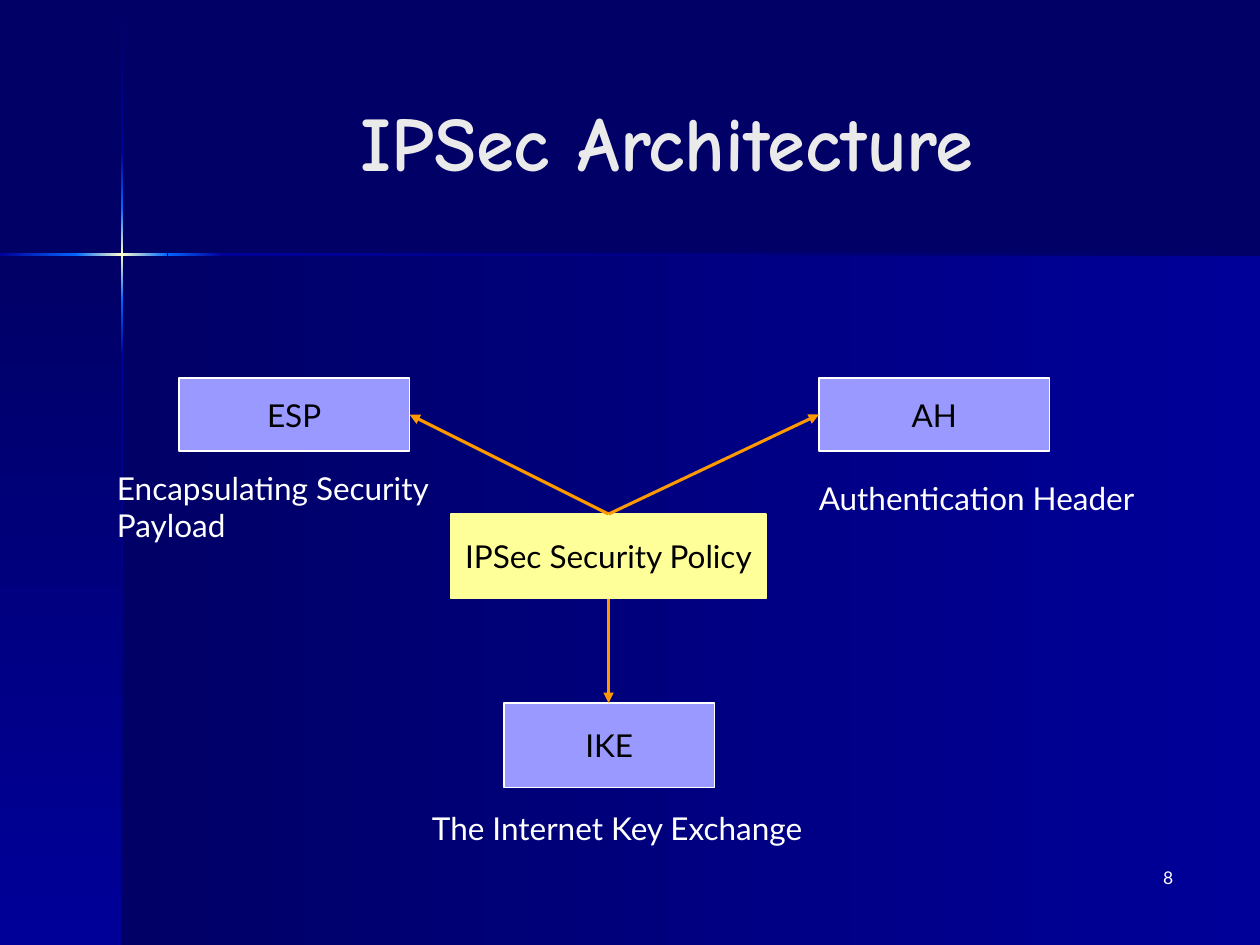
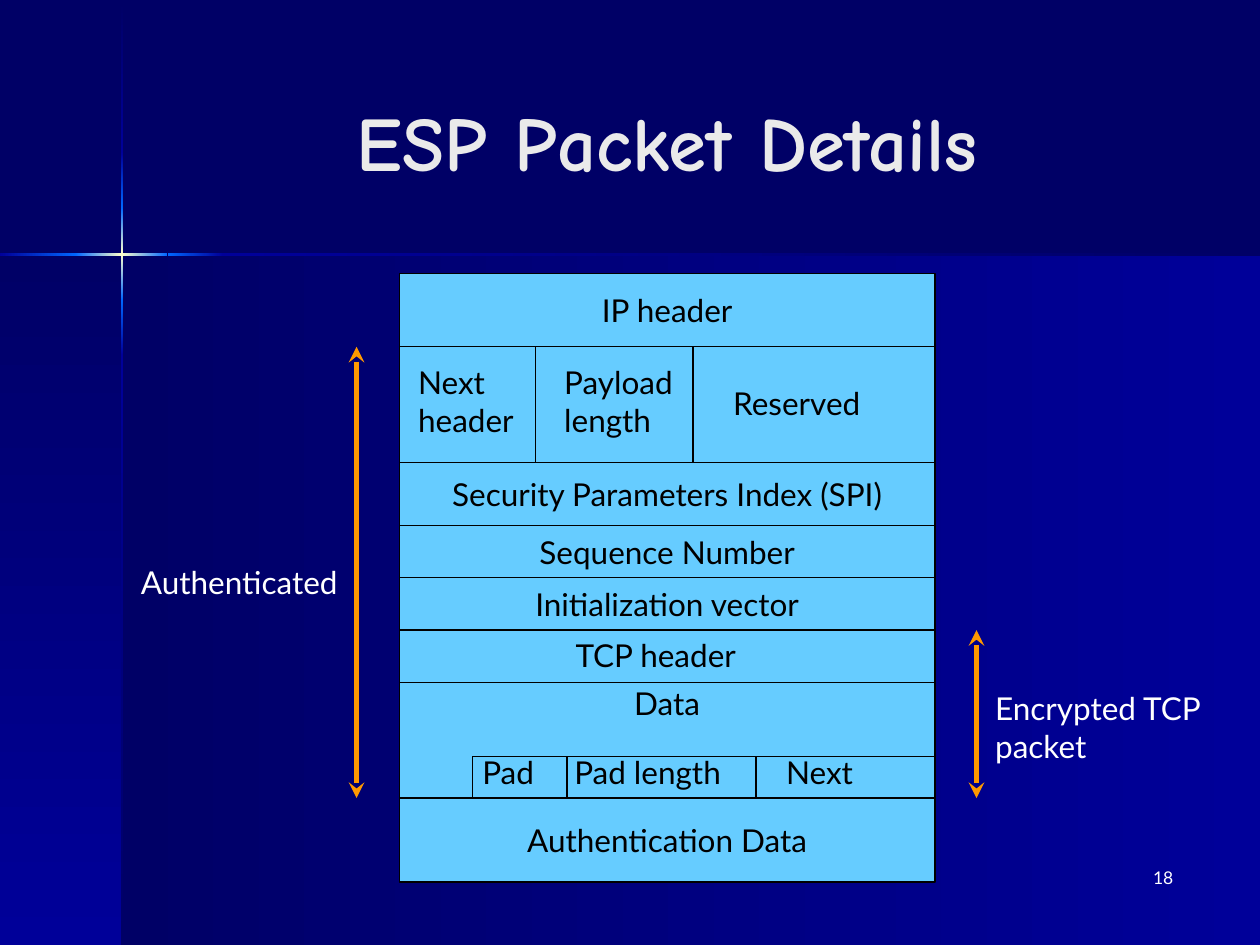
import itertools

import pptx
import pptx.dml.color
import pptx.enum.shapes
import pptx.enum.text
import pptx.oxml
import pptx.oxml.ns
import pptx.util
from lxml import etree

Inches = pptx.util.Inches
Pt = pptx.util.Pt
Align = pptx.enum.text.PP_ALIGN
Anchor = pptx.enum.text.MSO_ANCHOR
RECTANGLE = pptx.enum.shapes.MSO_SHAPE.RECTANGLE
STRAIGHT = pptx.enum.shapes.MSO_CONNECTOR.STRAIGHT

BODY_FONT, TITLE_FONT = "Lato", "Comic Neue"
NIGHT, NAVY, BLUE, SPARK = "000066", "000099", "0066FF", "FFFFCC"
BLACK, WHITE, TITLE_GREY = "000000", "FFFFFF", "EAEAEA"
ORANGE, LILAC, YELLOW, SKY = "FF9900", "9999FF", "FFFF99", "66CCFF"

BACKDROP = [
    ((0.97, 2.02, 9.03, 5.48), (NIGHT, NAVY), 0),
    ((0, 2.02, 0.97, 5.48), (NIGHT, NAVY), 90),
    ((0.96, 0.01, 0.02, 1.2), (NIGHT, NAVY), 90),
    ((0.96, 2.82, 0.02, 4.68), (NAVY, NIGHT), 90),
    ((1.77, 2.01, 8.23, 0.02), (NAVY, NIGHT), 0),
    ((0.96, 2.38, 0.02, 0.44), (BLUE, NAVY), 90),
    ((0.96, 1.21, 0.02, 0.44), (NAVY, BLUE), 90),
    ((0.96, 1.65, 0.02, 0.73), (BLUE, SPARK, BLUE), 90),
    ((0, 2.01, 0.61, 0.02), (NAVY, BLUE), 0),
    ((1.33, 2.01, 0.44, 0.02), (BLUE, NAVY), 0),
    ((0.6, 2.01, 0.73, 0.02), (BLUE, SPARK, BLUE), 0),
]


def rgb(value):
    return pptx.dml.color.RGBColor.from_string(value)


def inches(values):
    return [Inches(value) for value in values]


def write(shape, text, color, size=18, font=BODY_FONT, bold=False,
          align=Align.LEFT, anchor=Anchor.TOP, wrap=False):
    frame = shape.text_frame
    frame.text = text
    frame.word_wrap = wrap
    frame.vertical_anchor = anchor
    for paragraph in frame.paragraphs:
        paragraph.alignment = align
        for run in paragraph.runs:
            run.font.size = Pt(size)
            run.font.name = font
            run.font.bold = bold
            run.font.color.rgb = rgb(color)
    return frame


def add_label(slide, box, text, color=WHITE):
    frame = write(slide.shapes.add_textbox(*inches(box)), text, color)
    frame.auto_size = pptx.enum.text.MSO_AUTO_SIZE.SHAPE_TO_FIT_TEXT


def add_block(slide, box, text, fill, outline, anchor=Anchor.MIDDLE):
    block = slide.shapes.add_shape(RECTANGLE, *inches(box))
    block.shadow.inherit = False
    block.fill.solid()
    block.fill.fore_color.rgb = rgb(fill)
    block.line.color.rgb = rgb(outline)
    block.line.width = Pt(0.75)
    if text:
        write(block, text, BLACK, align=Align.CENTER, anchor=anchor)
    return block


def add_line(slide, start, end, color=BLACK, width=0.75, head=None, tail=None):
    line = slide.shapes.add_connector(STRAIGHT, *inches(start + end))
    line.line.color.rgb = rgb(color)
    line.line.width = Pt(width)
    properties = line._element.spPr
    outline = properties.find(pptx.oxml.ns.qn("a:ln"))
    for tag, kind in (("a:headEnd", head), ("a:tailEnd", tail)):
        if kind:
            etree.SubElement(outline, pptx.oxml.ns.qn(tag), type=kind)
    etree.SubElement(properties, pptx.oxml.ns.qn("a:effectLst"))


def add_gradient(slide, box, colors, angle):
    panel = slide.shapes.add_shape(RECTANGLE, *inches(box))
    panel.shadow.inherit = False
    panel.line.fill.background()
    panel.fill.background()
    step = 100000 // (len(colors) - 1)
    stops = "".join(
        f'<a:gs pos="{index * step}"><a:srgbClr val="{color}"/></a:gs>'
        for index, color in enumerate(colors))
    gradient = pptx.oxml.parse_xml(
        f'<a:gradFill {pptx.oxml.ns.nsdecls("a")} rotWithShape="1">'
        f'<a:gsLst>{stops}</a:gsLst>'
        f'<a:lin ang="{angle * 60000}" scaled="0"/></a:gradFill>')
    properties = panel._element.spPr
    properties.replace(properties.find(pptx.oxml.ns.qn("a:noFill")), gradient)


def add_base_slide(deck, title, number):
    slide = deck.slides.add_slide(deck.slide_layouts[6])
    slide.background.fill.solid()
    slide.background.fill.fore_color.rgb = rgb(NIGHT)
    for box, colors, angle in BACKDROP:
        add_gradient(slide, box, colors, angle)
    page_number = slide.shapes.add_textbox(*inches((7.33, 6.83, 2.08, 0.5)))
    write(page_number, str(number), WHITE, 10, align=Align.RIGHT, wrap=True)
    heading = slide.shapes.add_textbox(*inches((1.17, 0.33, 8.25, 1.57)))
    write(heading, title, TITLE_GREY, 44, TITLE_FONT, True,
          Align.CENTER, Anchor.MIDDLE, True)
    return slide


def add_architecture(slide, left, top):
    def place(x, y, *size):
        return (left + x, top + y, *size)

    protocols = [
        ("ESP", (0.59, 0, 1.83, 0.58), (2.42, 0.29),
         "Encapsulating Security\nPayload", (0, 0.67, 2.85, 0.7)),
        ("AH", (5.67, 0, 1.83, 0.58), (5.67, 0.29),
         "Authentication Header", (5.57, 0.75, 2.86, 0.4)),
        ("IKE", (3.17, 2.58, 1.67, 0.67), (4, 2.58),
         "The Internet Key Exchange", (2.5, 3.37, 3.35, 0.4)),
    ]
    add_block(slide, place(2.75, 1.08, 2.5, 0.67), "IPSec Security Policy",
              YELLOW, YELLOW)
    for name, box, target, meaning, meaning_box in protocols:
        add_block(slide, place(*box), name, LILAC, WHITE)
        policy_edge = 1.75 if name == "IKE" else 1.08
        add_line(slide, place(4, policy_edge), place(*target),
                 ORANGE, 1.75, tail="triangle")
        add_label(slide, place(*meaning_box), meaning)


def add_packet(slide, left, top, width, height):
    rows = [
        ("IP header", 7), ("", 11), ("Security Parameters Index (SPI)", 6),
        ("Sequence Number", 5), ("Initialization vector", 5), ("", 5),
        ("Data", 11), ("Authentication Data", 8),
    ]
    units = list(itertools.accumulate((row[1] for row in rows), initial=0))
    edges = [top + height * unit / units[-1] for unit in units]
    for (text, _), upper, lower in zip(rows, edges, edges[1:]):
        anchor = Anchor.TOP if text == "Data" else Anchor.MIDDLE
        block = add_block(slide, (left, upper, width, lower - upper), text,
                          SKY, BLACK, anchor)
        if text == "Data":
            block.text_frame.margin_top = Inches(0.01)

    header_top, header_bottom = edges[1:3]
    tcp_top, data_bottom = edges[5], edges[7]
    trailer_top = data_bottom - 0.33
    for x in (1.08, 2.33):
        add_line(slide, (left + x, header_top), (left + x, header_bottom))
    trailer = slide.shapes.build_freeform(
        *inches((left + 0.58, data_bottom)))
    trailer.add_line_segments(
        [inches((left + 0.58, trailer_top)),
         inches((left + width, trailer_top))], close=False)
    trailer_outline = trailer.convert_to_shape()
    trailer_outline.shadow.inherit = False
    trailer_outline.fill.background()
    trailer_outline.line.color.rgb = rgb(BLACK)
    trailer_outline.line.width = Pt(0.75)
    for x in (1.33, 2.83):
        add_line(slide, (left + x, data_bottom), (left + x, trailer_top))

    fields = [
        ("Next\nheader", 0.05, header_top + 0.08, 1.03, 0.7),
        ("Payload\nlength", 1.21, header_top + 0.08, 1.13, 0.7),
        ("Reserved", 2.55, header_top + 0.25, 1.28, 0.4),
        ("TCP header", 1.3, tcp_top, 1.54, 0.4),
        ("Pad", 0.56, trailer_top - 0.08, 0.64, 0.4),
        ("Pad length", 1.29, trailer_top - 0.08, 1.47, 0.4),
        ("Next", 2.97, trailer_top - 0.08, 0.75, 0.4),
    ]
    for text, x, y, field_width, field_height in fields:
        add_label(slide, (left + x, y, field_width, field_height), text, BLACK)

    spans = [
        ("Authenticated", -0.34, header_top, (-2.15, 1.67, 1.85, 0.4)),
        ("Encrypted TCP\npacket", width + 0.33, tcp_top,
         (width + 0.38, 0.42, 1.96, 0.7)),
    ]
    for text, x, start, (label_x, label_y, *size) in spans:
        add_line(slide, (left + x, start), (left + x, data_bottom),
                 ORANGE, 3, "stealth", "stealth")
        add_label(slide, (left + label_x, start + label_y, *size), text)


def main():
    deck = pptx.Presentation()
    deck.slide_width, deck.slide_height = inches((10, 7.5))
    add_architecture(add_base_slide(deck, "IPSec Architecture", 8), 0.83, 3)
    add_packet(add_base_slide(deck, "ESP Packet Details", 18),
               3.17, 2.17, 4.25, 4.83)
    deck.save("out.pptx")


if __name__ == "__main__":
    main()
